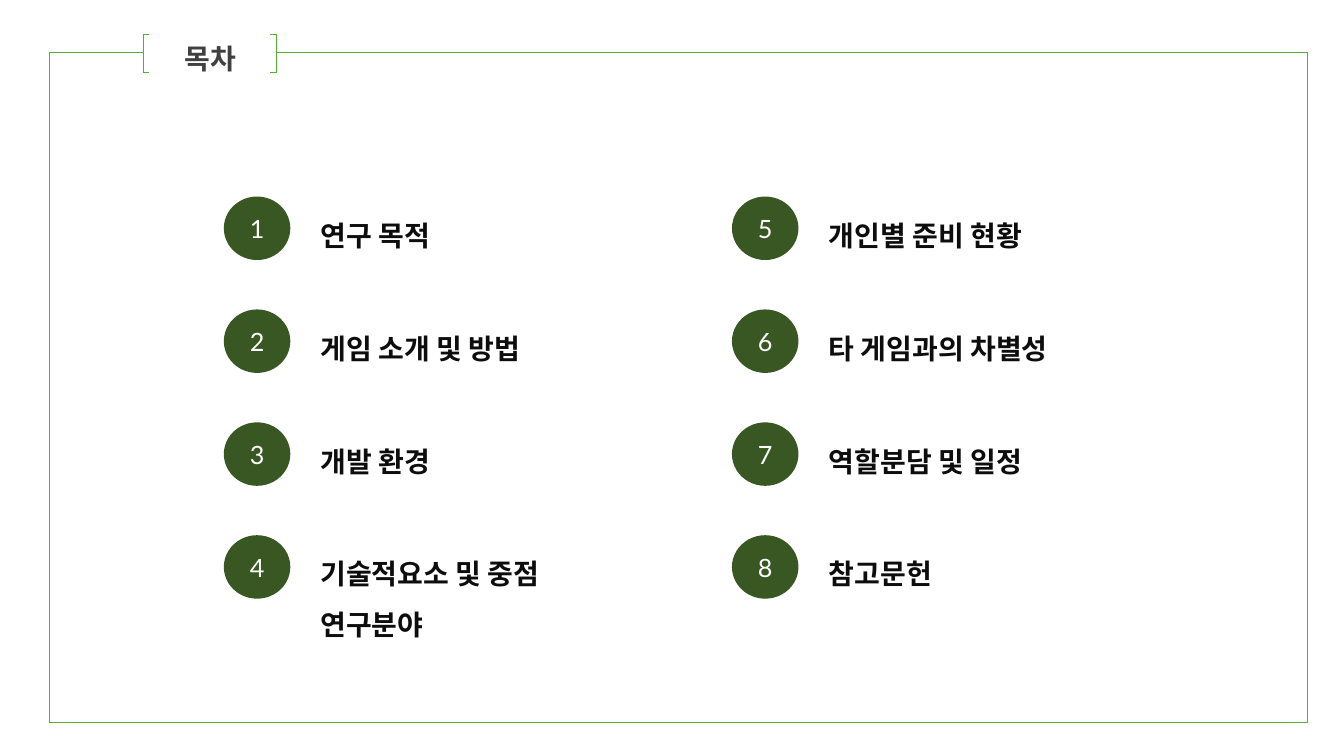
"""Builds a contents slide with eight numbered topics inside a titled frame."""
from lxml.etree import SubElement
from pptx import Presentation
from pptx.dml.color import RGBColor
from pptx.enum.shapes import MSO_SHAPE
from pptx.enum.text import MSO_ANCHOR, MSO_AUTO_SIZE, PP_ALIGN
from pptx.oxml.ns import qn
from pptx.util import Inches, Pt

COLORS = {
    "line": "54B034",
    "badge": "385723",
    "title": "404040",
    "topic": "0D0D0D",
    "white": "FFFFFF",
}
FONT = "Lato"
TOPIC_COLUMNS = [
    [("연구 목적", 2.22), ("게임 소개 및 방법", 2.3),
     ("개발 환경", 2.22), ("기술적요소 및 중점 연구분야", 3.2)],
    [("개인별 준비 현황", 3.69), ("타 게임과의 차별성", 3.44),
     ("역할분담 및 일정", 2.22), ("참고문헌", 2.22)],
]
COLUMN_LEFTS = [2.22, 7.26]
FIRST_TOP, ROW_PITCH = 1.95, 1.12
LABEL_OFFSET = 0.86
BRACKET_WIDTHS = [0.06, 1.2, 0.06]
BRACKET_SIDES = ["LTB", "", "RTB"]


def color(name):
    return RGBColor.from_string(COLORS[name])


def place(shape, left, top, width, height):
    shape.left, shape.top = Inches(left), Inches(top)
    shape.width, shape.height = Inches(width), Inches(height)


def write(shape, text, *, size=20, ink="topic", bold=True,
          align=PP_ALIGN.LEFT, anchor=MSO_ANCHOR.TOP, spacing=1.5,
          fit=MSO_AUTO_SIZE.SHAPE_TO_FIT_TEXT):
    frame = shape.text_frame
    frame.word_wrap = True
    frame.auto_size = fit
    frame.vertical_anchor = anchor
    para = frame.paragraphs[0]
    para.alignment = align
    para.line_spacing = spacing
    span = para.add_run()
    span.text = text
    span.font.name = FONT
    span.font.size = Pt(size)
    span.font.bold = bold
    span.font.color.rgb = color(ink)


def add_frame(page):
    frame = page.shapes.add_shape(
        MSO_SHAPE.RECTANGLE, Inches(0.49), Inches(0.52), Inches(12.48), Inches(6.65))
    frame.shadow.inherit = False
    frame.fill.background()
    frame.line.color.rgb = color("line")
    frame.line.width = Pt(0.75)


def set_borders(cell, sides):
    properties = cell._tc.get_or_add_tcPr()
    for side in "LRTB":
        border = SubElement(properties, qn(f"a:ln{side}"), w=str(Pt(0.75)))
        if side in sides:
            fill = SubElement(border, qn("a:solidFill"))
            SubElement(fill, qn("a:srgbClr"), val=COLORS["line"])
        else:
            SubElement(border, qn("a:noFill"))


def add_brackets(page):
    table = page.shapes.add_table(
        1, 3, Inches(1.42), Inches(0.34), Inches(1.32), Inches(0.38)).table
    table.first_row = table.horz_banding = False
    for index, (width, sides) in enumerate(zip(BRACKET_WIDTHS, BRACKET_SIDES)):
        table.columns[index].width = Inches(width)
        cell = table.cell(0, index)
        cell.margin_left = cell.margin_right = 0
        cell.margin_top = cell.margin_bottom = 0
        set_borders(cell, sides)
        cell.fill.solid()
        cell.fill.fore_color.rgb = color("white")


def add_title(page):
    title = page.shapes.title
    place(title, 1.7, 0.19, 0.77, 0.54)
    write(title, "목차", ink="title", align=PP_ALIGN.CENTER)
    title.element.getparent().append(title.element)


def add_badge(page, number, left, top):
    badge = page.shapes.add_shape(
        MSO_SHAPE.OVAL, Inches(left), Inches(top), Inches(0.66), Inches(0.63))
    badge.shadow.inherit = False
    badge.fill.solid()
    badge.fill.fore_color.rgb = color("badge")
    badge.line.fill.background()
    write(badge, str(number), size=18, ink="white", bold=False, spacing=1.0,
          align=PP_ALIGN.CENTER, anchor=MSO_ANCHOR.MIDDLE, fit=MSO_AUTO_SIZE.NONE)


def add_topic(page, number, text, left, top, width):
    label = page.shapes.add_textbox(
        Inches(left + LABEL_OFFSET), Inches(top), Inches(width), Inches(0.54))
    write(label, text)
    add_badge(page, number, left, top)


def main():
    deck = Presentation()
    deck.slide_width, deck.slide_height = Inches(13.33), Inches(7.5)
    page = deck.slides.add_slide(deck.slide_layouts[5])
    add_frame(page)
    add_brackets(page)
    add_title(page)
    number = 0
    for left, topics in zip(COLUMN_LEFTS, TOPIC_COLUMNS):
        for row, (text, width) in enumerate(topics):
            number += 1
            add_topic(page, number, text, left, FIRST_TOP + row * ROW_PITCH, width)
    deck.save("out.pptx")


if __name__ == "__main__":
    main()
